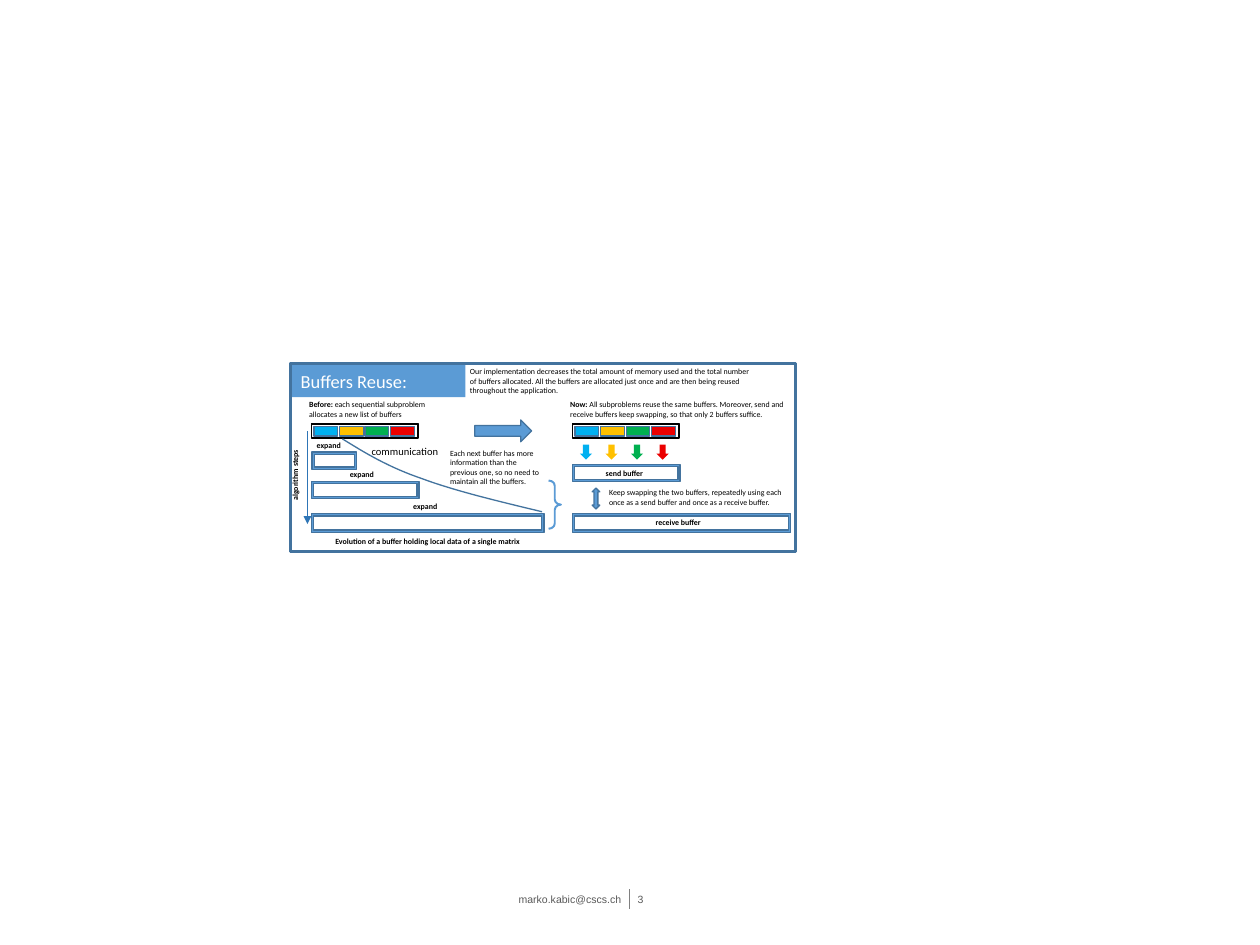
from dataclasses import dataclass

from lxml import etree
from pptx import Presentation
from pptx.dml.color import RGBColor
from pptx.enum.shapes import MSO_CONNECTOR as Connector, MSO_SHAPE as Shape
from pptx.enum.text import MSO_ANCHOR as Anchor, MSO_AUTO_SIZE as AutoSize, PP_ALIGN as Align
from pptx.oxml.ns import qn
from pptx.util import Inches, Pt


@dataclass(frozen=True)
class Theme:
    blue: str = "5B9BD5"
    edge: str = "43739E"
    axis: str = "2E75B6"
    black: str = "000000"
    white: str = "FFFFFF"
    grey: str = "595959"
    rule: str = "808080"
    blocks: tuple = ("00B0F0", "FFC000", "00B050", "EB0000")
    font: str = "Calibri"
    footer_font: str = "Arial"
    title: int = 14
    label: int = 8
    note: int = 6


THEME = Theme()
INSETS = (0.1, 0.05, 0.1, 0.05)
BLOCK_STEP = 0.27


def write(box, spans, size=THEME.note, color=THEME.black, font=THEME.font,
          align=Align.LEFT, anchor=Anchor.TOP, insets=INSETS, wrap=True):
    """Fill a box with one paragraph made of (text, bold) spans."""
    frame = box.text_frame
    left, top, right, bottom = map(Inches, insets)
    layout = {"word_wrap": wrap, "auto_size": AutoSize.NONE, "vertical_anchor": anchor,
              "margin_left": left, "margin_top": top,
              "margin_right": right, "margin_bottom": bottom}
    for name, value in layout.items():
        setattr(frame, name, value)
    para = frame.paragraphs[0]
    para.alignment = align
    for text, bold in spans:
        span = para.add_run()
        span.text = text
        for name, value in {"name": font, "size": Pt(size), "bold": bold}.items():
            setattr(span.font, name, value)
        span.font.color.rgb = RGBColor.from_string(color)


def add_text(page, place, *spans, **style):
    box = page.shapes.add_textbox(*map(Inches, place))
    write(box, spans, **style)
    return box


def add_label(page, place, text):
    add_text(page, place, (text, True), align=Align.CENTER)


def paint(shape, fill=None, line=None, width=1):
    shape.shadow.inherit = False
    if fill:
        shape.fill.solid()
        shape.fill.fore_color.rgb = RGBColor.from_string(fill)
    else:
        shape.fill.background()
    if line:
        shape.line.color.rgb = RGBColor.from_string(line)
        shape.line.width = Pt(width)
    else:
        shape.line.fill.background()


def add_figure(parent, kind, place, fill=THEME.blue, line=THEME.edge, width=1, adjust=()):
    shape = parent.shapes.add_shape(kind, *map(Inches, place))
    paint(shape, fill, line, width)
    for index, value in enumerate(adjust):
        shape.adjustments[index] = value
    return shape


def add_line(page, start, end, color, width, arrow=False):
    line = page.shapes.add_connector(Connector.STRAIGHT, *map(Inches, start + end))
    line.line.color.rgb = RGBColor.from_string(color)
    line.line.width = Pt(width)
    properties = line._element.spPr
    if arrow:
        etree.SubElement(properties.find(qn("a:ln")), qn("a:tailEnd"), type="triangle")
    etree.SubElement(properties, qn("a:effectLst"))


def add_curve(page, start, *segments, pieces=16):
    """Draw a chain of cubic curves; each segment has two handles and an end."""
    points, origin = [], start
    for handle_a, handle_b, end in segments:
        for step in range(1, pieces + 1):
            t = step / pieces
            weights = ((1 - t) ** 3, 3 * t * (1 - t) ** 2, 3 * t * t * (1 - t), t ** 3)
            knots = (origin, handle_a, handle_b, end)
            points.append(tuple(Inches(sum(w * knot[axis] for w, knot in zip(weights, knots)))
                                for axis in (0, 1)))
        origin = end
    builder = page.shapes.build_freeform(*map(Inches, start))
    builder.add_line_segments(points, close=False)
    paint(builder.convert_to_shape(), line=THEME.edge)


def add_split_buffer(page, left, top):
    """Draw a black frame that holds one cell for each block."""
    group = page.shapes.add_group_shape()
    add_figure(group, Shape.FRAME, (left, top, 1.13, 0.15),
               THEME.black, THEME.black, adjust=[0.04])
    for index, color in enumerate(THEME.blocks):
        cell = (left + 0.03 + index * BLOCK_STEP, top + 0.03, 0.25, 0.1)
        add_figure(group, Shape.RECTANGLE, cell, color)


def add_footer(page):
    add_line(page, (6.66, 9.4), (6.66, 9.61), THEME.rule, 0.75)
    style = {"size": THEME.label, "color": THEME.grey,
             "font": THEME.footer_font, "anchor": Anchor.MIDDLE}
    add_text(page, (2.15, 9.4, 4.5, 0.21), ("marko.kabic@cscs.ch", False),
             align=Align.RIGHT, insets=(0, 0, 0.08, 0), **style)
    add_text(page, (6.66, 9.4, 0.42, 0.21), ("3", False), insets=(0.08, 0, 0, 0), **style)


def add_heading(page):
    title = add_figure(page, Shape.RECTANGLE, (3.08, 3.86, 1.84, 0.34), line=None)
    write(title, [("Buffers Reuse:", False)], size=THEME.title, color=THEME.white,
          anchor=Anchor.MIDDLE)
    add_figure(page, Shape.FRAME, (3.07, 3.84, 5.34, 1.99), width=2, adjust=[0])
    add_text(page, (4.87, 3.83, 3.16, 0.4),
             ("Our implementation decreases the total amount of memory used and the total "
              "number of buffers allocated. All the buffers are allocated just once and are "
              "then being reused throughout the application.", False))
    add_figure(page, Shape.RIGHT_ARROW, (5.02, 4.44, 0.6, 0.23))


def add_before(page):
    add_text(page, (3.17, 4.18, 1.45, 0.3), ("Before: ", True),
             ("each sequential subproblem allocates a new list of buffers", False))
    add_text(page, (3.83, 4.66, 0.96, 0.24), ("communication", False), size=THEME.label)

    # Growing buffers
    add_split_buffer(page, 3.29, 4.48)
    for place in ((3.3, 4.78, 0.47, 0.18), (3.29, 5.09, 1.14, 0.18), (3.29, 5.43, 2.46, 0.2)):
        add_figure(page, Shape.FRAME, place)
    for left, top in ((3.15, 4.61), (3.5, 4.92), (4.17, 5.25)):
        add_label(page, (left, top, 0.67, 0.2), "expand ")
    add_curve(page, (3.62, 4.64),
              ((3.86, 4.79), (4.11, 4.94), (4.46, 5.06)),
              ((4.81, 5.19), (5.27, 5.3), (5.73, 5.41)))

    # Step axis and captions
    add_line(page, (3.25, 4.56), (3.25, 5.54), THEME.axis, 1, arrow=True)
    axis = add_text(page, (3.02, 4.64, 0.3, 0.75), ("algorithm steps", True), wrap=False)
    axis.text_frame._txBody.bodyPr.set("vert", "vert270")
    add_label(page, (3.39, 5.62, 2.26, 0.2),
              "Evolution of a buffer holding local data of a single matrix")
    add_text(page, (4.66, 4.69, 1.21, 0.5),
             ("Each next buffer has more information than the previous one, "
              "so no need to maintain all the buffers.", False))
    add_figure(page, Shape.RIGHT_BRACE, (5.8, 5.08, 0.13, 0.51), None, THEME.blue, 1.5,
               adjust=[0.42, 0.5])


def add_now(page):
    add_text(page, (5.93, 4.18, 2.5, 0.3), ("Now: ", True),
             ("All subproblems reuse the same buffers. Moreover, send and receive buffers "
              "keep swapping, so that only 2 buffers suffice.", False))
    add_split_buffer(page, 6.05, 4.48)
    for index, color in enumerate(THEME.blocks):
        add_figure(page, Shape.DOWN_ARROW, (6.13 + index * BLOCK_STEP, 4.7, 0.13, 0.16),
                   color, None)

    # Two swapped buffers
    add_figure(page, Shape.FRAME, (6.05, 4.91, 1.14, 0.18))
    add_figure(page, Shape.FRAME, (6.05, 5.43, 2.31, 0.2))
    add_label(page, (6.25, 4.9, 0.7, 0.2), "send buffer")
    add_label(page, (6.82, 5.42, 0.7, 0.2), "receive buffer")
    swap = add_figure(page, Shape.LEFT_RIGHT_ARROW, (6.19, 5.23, 0.22, 0.08))
    swap.rotation = 90
    add_text(page, (6.34, 5.11, 2.18, 0.3),
             ("Keep swapping the two buffers, repeatedly using each once as a send buffer "
              "and once as a receive buffer.", False))


def main():
    deck = Presentation()
    deck.slide_width, deck.slide_height = Inches(13.32), Inches(9.99)
    page = deck.slides.add_slide(deck.slide_layouts[6])
    for add_section in (add_footer, add_heading, add_before, add_now):
        add_section(page)
    deck.save("out.pptx")


if __name__ == "__main__":
    main()
